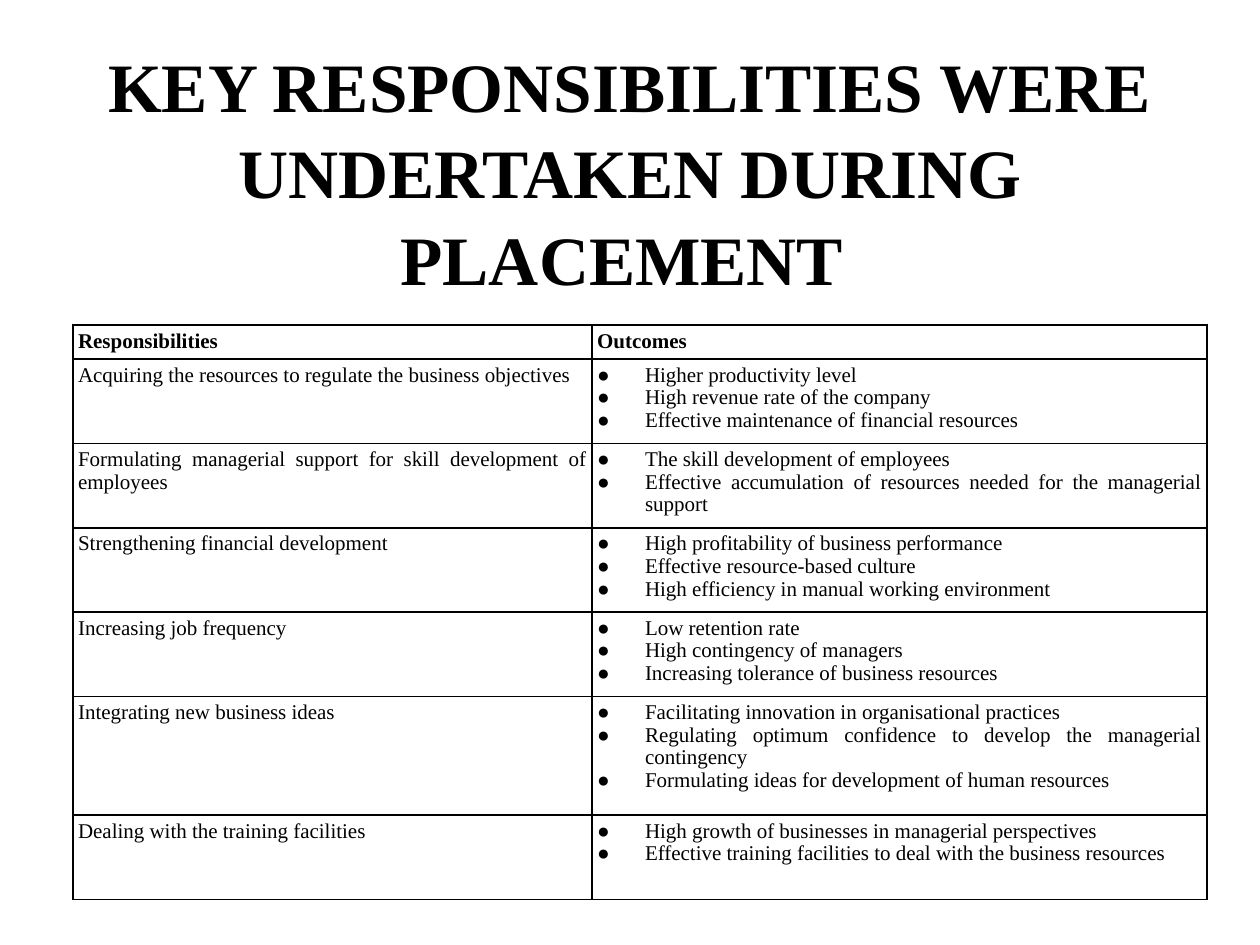
"""Build a slide with a table of placement responsibilities and outcomes."""
from lxml import etree
from pptx import Presentation
from pptx import util as u
from pptx.dml.color import RGBColor
from pptx.enum import text
from pptx.oxml.ns import qn

BLACK = RGBColor(0, 0, 0)
FONT = "Times New Roman"
TITLE = "KEY RESPONSIBILITIES WERE UNDERTAKEN DURING PLACEMENT "
HEADERS = ("Responsibilities", "Outcomes")
ROWS = [
    ("Acquiring the resources to regulate the business objectives",
     ["Higher productivity level",
      "High revenue rate of the company",
      "Effective maintenance of financial resources"]),
    ("Formulating managerial support for skill development of employees",
     ["The skill development of employees",
      "Effective accumulation of resources needed for the managerial support"]),
    ("Strengthening financial development",
     ["High profitability of business performance",
      "Effective resource-based culture",
      "High efficiency in manual working environment"]),
    ("Increasing job frequency",
     ["Low retention rate",
      "High contingency of managers",
      "Increasing tolerance of business resources"]),
    ("Integrating new business ideas",
     ["Facilitating innovation in organisational practices",
      "Regulating optimum confidence to develop the managerial contingency",
      "Formulating ideas for development of human resources"]),
    ("Dealing with the training facilities",
     ["High growth of businesses in managerial perspectives",
      "Effective training facilities to deal with the business resources"]),
]
COL_WIDTHS = (4.12, 4.88)
ROW_HEIGHTS = (0.27, 0.67, 0.67, 0.67, 0.67, 0.94, 0.67)
INSET, INDENT = 0.04, 0.38


def write(tf, lines, size=12, bold=False, bullet=False, spacing=0.97,
          align=text.PP_ALIGN.JUSTIFY):
    for i, line in enumerate(lines):
        p = tf.paragraphs[0] if i == 0 else tf.add_paragraph()
        p.alignment, p.line_spacing = align, spacing
        p.space_before = u.Pt(0)
        if bullet:
            pPr = p._p.get_or_add_pPr()
            pPr.set("marL", str(u.Inches(INDENT)))
            pPr.set("indent", str(-u.Inches(INDENT)))
            etree.SubElement(pPr, qn("a:buFont")).set("typeface", FONT)
            etree.SubElement(pPr, qn("a:buChar")).set("char", "●")
        r = p.add_run()
        r.text = line
        r.font.name, r.font.size, r.font.bold = FONT, u.Pt(size), bold
        r.font.color.rgb = BLACK


def add_borders(cell):
    tcPr = cell._tc.get_or_add_tcPr()
    for i, side in enumerate(("lnL", "lnR", "lnT", "lnB")):
        ln = etree.Element(qn(f"a:{side}"), w=str(u.Pt(1)))
        fill = etree.SubElement(ln, qn("a:solidFill"))
        etree.SubElement(fill, qn("a:srgbClr")).set("val", str(BLACK))
        tcPr.insert(i, ln)


def add_title(s):
    sp = s.shapes.title
    sp.left, sp.top, sp.width, sp.height = map(u.Inches, (0.5, 0.3, 9, 2.03))
    tf = sp.text_frame
    tf.word_wrap = True
    tf.auto_size = text.MSO_AUTO_SIZE.NONE
    tf.vertical_anchor = text.MSO_ANCHOR.MIDDLE
    tf.margin_top, tf.margin_bottom = u.Inches(0.06), u.Inches(0)
    write(tf, [TITLE], size=39.6, bold=True, spacing=1.04,
          align=text.PP_ALIGN.CENTER)


def add_responsibilities(s):
    frame = s.shapes.add_table(len(ROW_HEIGHTS), len(COL_WIDTHS),
                               u.Inches(0.58), u.Inches(2.58),
                               u.Inches(sum(COL_WIDTHS)),
                               u.Inches(sum(ROW_HEIGHTS)))
    table = frame.table
    for col, width in zip(table.columns, COL_WIDTHS):
        col.width = u.Inches(width)
    for row, height in zip(table.rows, ROW_HEIGHTS):
        row.height = u.Inches(height)
    for cell in table.iter_cells():
        cell.fill.background()
        cell.margin_left = cell.margin_right = u.Inches(INSET)
        cell.margin_top = cell.margin_bottom = u.Inches(INSET)
        add_borders(cell)
    for c, header in enumerate(HEADERS):
        write(table.cell(0, c).text_frame, [header], bold=True)
    for n, (duty, outcomes) in enumerate(ROWS, 1):
        write(table.cell(n, 0).text_frame, [duty])
        write(table.cell(n, 1).text_frame, outcomes, bullet=True)


def main():
    prs = Presentation()
    prs.slide_width, prs.slide_height = u.Inches(10), u.Inches(7.5)
    s = prs.slides.add_slide(prs.slide_layouts[5])
    add_title(s)
    add_responsibilities(s)
    prs.save("out.pptx")


if __name__ == "__main__":
    main()
